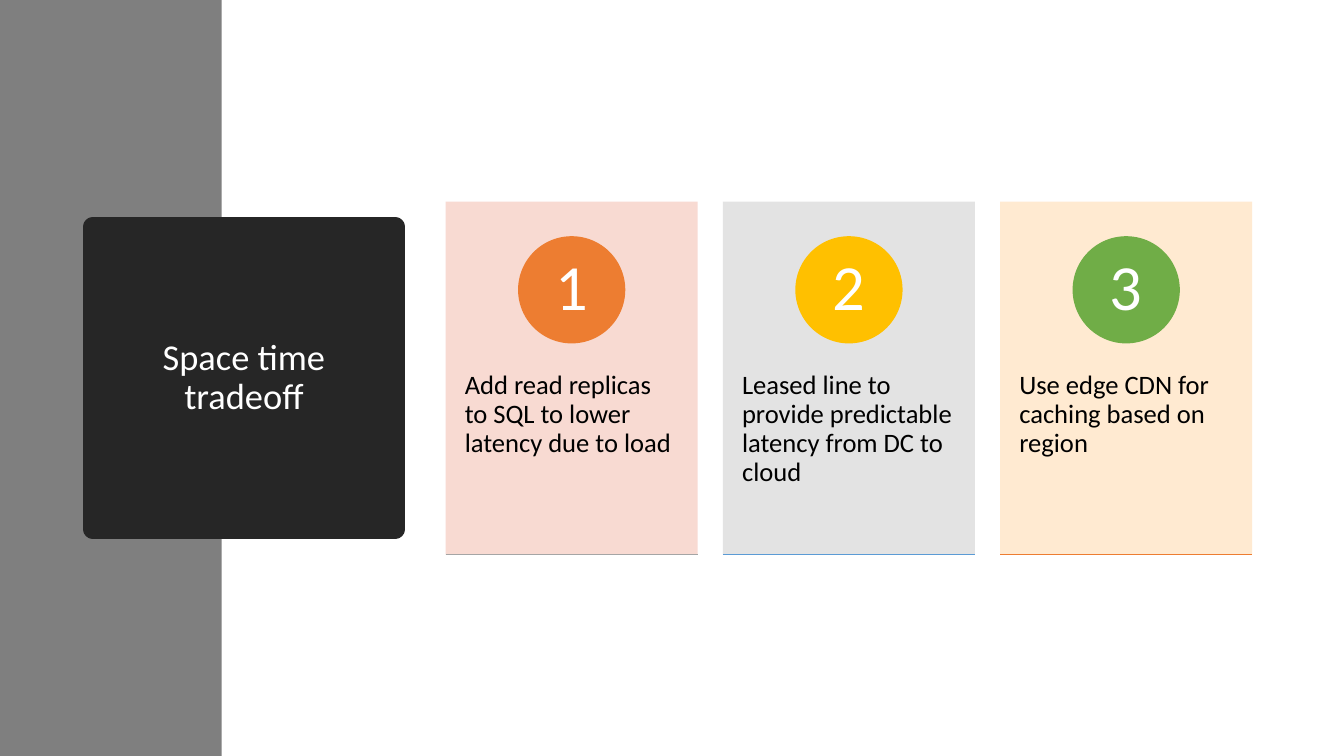
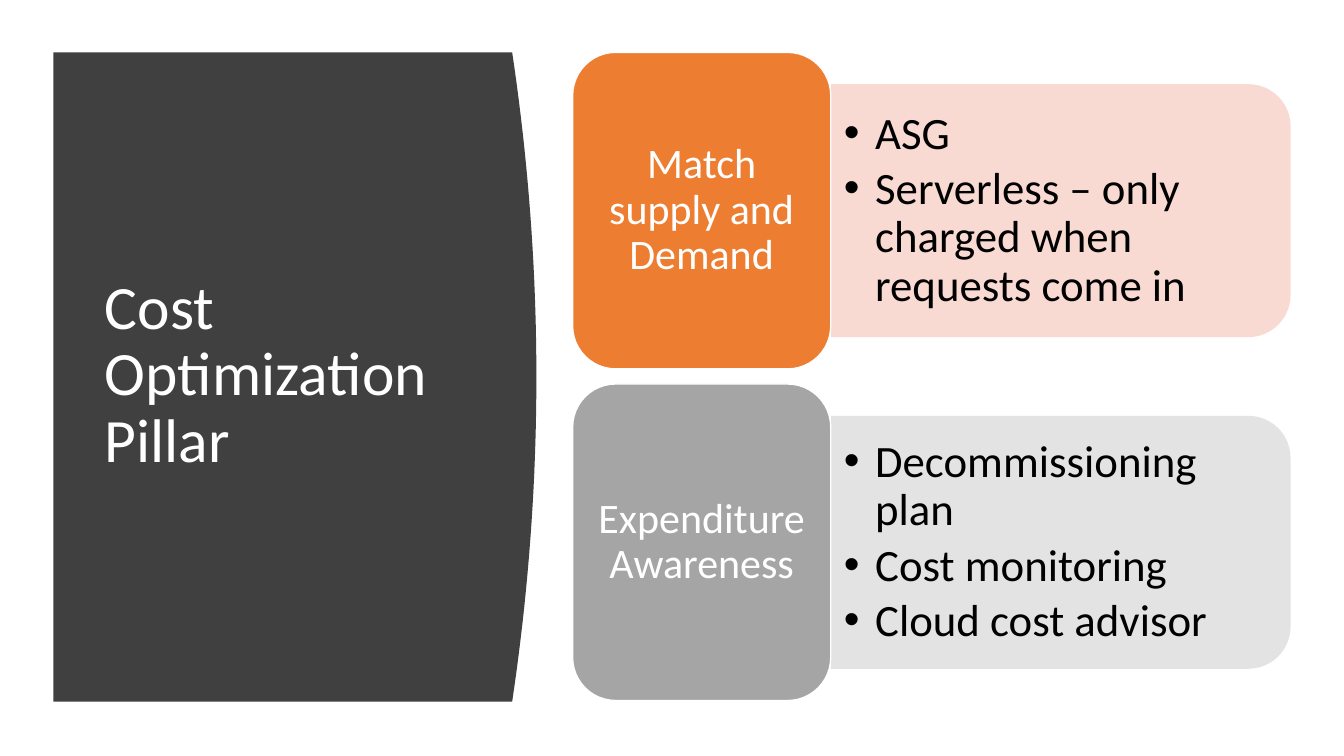
from pptx import Presentation
from pptx.dml.color import RGBColor
from pptx.enum import shapes, text
from pptx.oxml.ns import qn
from pptx.util import Inches, Pt
from lxml import etree

FONT = "Calibri"
COLORS = {
    "white": "FFFFFF", "black": "000000", "band": "7F7F7F",
    "title": "262626", "pillar": "404040",
    "orange": "ED7D31", "gray": "A5A5A5", "gold": "FFC000",
    "green": "70AD47", "blue": "5B9BD5",
    "pale_orange": "F8D7CE", "pale_gray": "E1E1E1", "pale_gold": "FFE8CC",
}
TITLE_ONLY, TWO_CONTENT = 5, 3
RECT = shapes.MSO_SHAPE.RECTANGLE
LEFT, CENTER = text.PP_ALIGN.LEFT, text.PP_ALIGN.CENTER
TOP, MIDDLE = text.MSO_ANCHOR.TOP, text.MSO_ANCHOR.MIDDLE


def rgb(name):
    return RGBColor.from_string(COLORS[name])


def paint(sp, fill, line=None, width=1, alpha=None):
    """Set fill and line; alpha is the opacity of the fill in percent."""
    sp.shadow.inherit = False
    sp.fill.solid()
    sp.fill.fore_color.rgb = rgb(fill)
    if alpha:
        clr = sp.element.spPr.find(qn("a:solidFill"))[0]
        etree.SubElement(clr, qn("a:alpha"), val=str(alpha * 1000))
    if line:
        sp.line.color.rgb = rgb(line)
        sp.line.width = Pt(width)
    else:
        sp.line.fill.background()


def add_shape(s, kind, x, y, w, h, fill, **look):
    sp = s.shapes.add_shape(kind, Inches(x), Inches(y), Inches(w), Inches(h))
    paint(sp, fill, **look)
    return sp


def write(sp, content, size, color="white", align=CENTER, anchor=MIDDLE,
          insets=(0.1, 0.05), after=0, hang=0):
    """Fill a shape with one paragraph, or with one per item of a list."""
    tf = sp.text_frame
    tf.word_wrap = True
    tf.auto_size = text.MSO_AUTO_SIZE.NONE
    tf.vertical_anchor = anchor
    tf.margin_left = tf.margin_right = Inches(insets[0])
    tf.margin_top = Inches(insets[1])
    tf.margin_bottom = Inches(0.05)
    items = [content] if isinstance(content, str) else content
    for i, item in enumerate(items):
        p = tf.paragraphs[0] if i == 0 else tf.add_paragraph()
        if hang:
            pPr = p._p.get_or_add_pPr()
            pPr.set("marL", str(Inches(hang)))
            pPr.set("indent", str(-Inches(hang)))
        p.alignment = align
        p.line_spacing = 0.9
        p.space_before = Pt(0)
        p.space_after = Pt(after)
        r = p.add_run()
        r.text = item
        r.font.name, r.font.size = FONT, Pt(size)
        r.font.color.rgb = rgb(color)


def place(sp, x, y, w, h):
    """Move a placeholder and bring it to the front."""
    sp.left, sp.top, sp.width, sp.height = map(Inches, (x, y, w, h))
    sp.element.getparent().append(sp.element)


def add_rule(s, x, y, w, color):
    line = s.shapes.add_connector(shapes.MSO_CONNECTOR.STRAIGHT, Inches(x),
                                  Inches(y), Inches(x + w), Inches(y))
    line.line.color.rgb = rgb(color)
    line.line.width = Pt(1)
    etree.SubElement(line.element.spPr, qn("a:effectLst"))


def add_card(s, x, number, body, fill, badge, rule):
    y, w, h, d = 2, 2.5, 3.5, 1.05
    card = add_shape(s, RECT, x, y, w, h, fill, alpha=90)
    write(card, body, 19, "black", LEFT, TOP, insets=(0.19, 1.69))
    circle = add_shape(s, shapes.MSO_SHAPE.OVAL, x + (w - d) / 2, y + 0.35,
                       d, d, badge, line=badge)
    write(circle, str(number), 46, insets=(0, 0.05))
    add_rule(s, x, y + h, w, rule)


def add_curved_panel(s, x, y, w, h, bulge, steps=40):
    """Draw a panel whose right side is a parabola of depth bulge."""
    fb = s.shapes.build_freeform(Inches(x), Inches(y))
    curve = []
    for i in range(steps + 1):
        t = i / steps
        curve.append((Inches(x + w - bulge * (2 * t - 1) ** 2),
                      Inches(y + h * t)))
    fb.add_line_segments(curve + [(Inches(x), Inches(y + h))], close=True)
    paint(fb.convert_to_shape(), "pillar")


def add_topic(s, y, label, bullets, body, fill, pale):
    x, w, h = 5.68, 2.56, 3.14
    panel_w, panel_h = 4.56, 2.51
    # The panel is turned a quarter, so its sides swap about its centre.
    cx, cy = x + w + panel_w / 2, y + h / 2
    panel = add_shape(s, shapes.MSO_SHAPE.ROUND_2_SAME_RECTANGLE,
                      cx - panel_h / 2, cy - panel_w / 2, panel_h, panel_w,
                      pale, alpha=90)
    panel.rotation = 90
    place(body, x + w, cy - 1.13, 4.44, 2.26)
    write(body, bullets, 32, "black", LEFT, insets=(0.13, 0.05),
          after=4.8, hang=0.31)
    tile = add_shape(s, shapes.MSO_SHAPE.ROUNDED_RECTANGLE, x, y, w, h,
                     fill, line="white")
    write(tile, label, 30)


def build_tradeoff(prs):
    s = prs.slides.add_slide(prs.slide_layouts[TITLE_ONLY])
    add_shape(s, RECT, 0, 0, 2.2, 7.5, "band")
    title = s.shapes.title
    place(title, 0.92, 2.25, 3, 3)
    paint(title, "title", line="title", width=13.75)
    write(title, "Space time tradeoff", 26)
    cards = [
        ("Add read replicas to SQL to lower latency due to load",
         "pale_orange", "orange", "gray"),
        ("Leased line to provide predictable latency from DC to cloud",
         "pale_gray", "gold", "blue"),
        ("Use edge CDN for caching based on region",
         "pale_gold", "green", "orange"),
    ]
    for i, card in enumerate(cards):
        add_card(s, 4.42 + 2.75 * i, i + 1, *card)


def build_cost(prs):
    s = prs.slides.add_slide(prs.slide_layouts[TWO_CONTENT])
    add_curved_panel(s, 0.53, 0.52, 4.79, 6.44, bulge=0.24)
    title = s.shapes.title
    place(title, 0.94, 1.11, 3.74, 5.24)
    write(title, "Cost Optimization Pillar", 44, align=LEFT)
    topics = [
        ("Match supply and Demand",
         ["ASG", "Serverless – only charged when requests come in"],
         s.placeholders[1], "orange", "pale_orange"),
        ("Expenditure Awareness",
         ["Decommissioning plan", "Cost monitoring", "Cloud cost advisor"],
         s.placeholders[2], "gray", "pale_gray"),
    ]
    for i, topic in enumerate(topics):
        add_topic(s, 0.52 + 3.29 * i, *topic)


def main():
    prs = Presentation()
    prs.slide_width, prs.slide_height = Inches(13.33), Inches(7.5)
    build_tradeoff(prs)
    build_cost(prs)
    prs.save("out.pptx")


if __name__ == "__main__":
    main()
